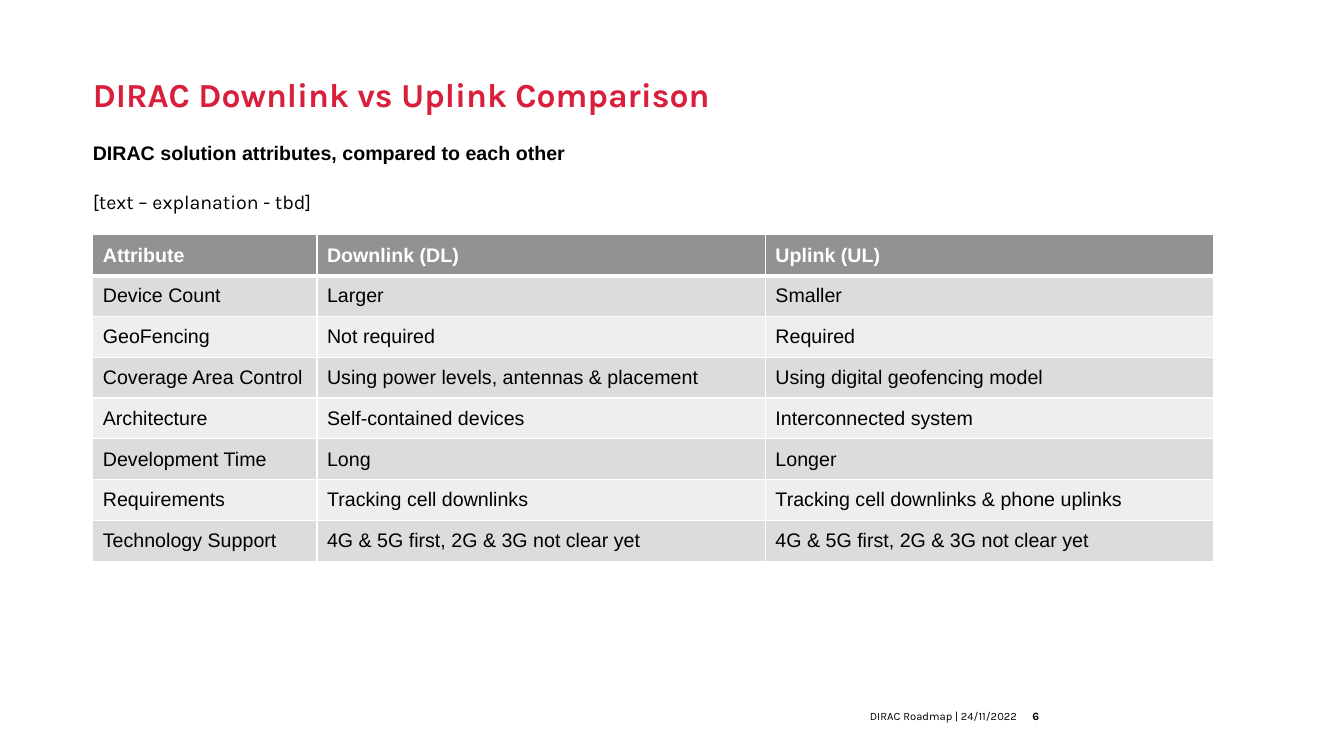
from lxml import etree
from pptx import Presentation, util as u
from pptx.dml.color import RGBColor
from pptx.enum import text
from pptx.oxml import ns

RED = RGBColor(0xDA, 0x1F, 0x3D)
BLACK = RGBColor(0x00, 0x00, 0x00)
WHITE = RGBColor(0xFF, 0xFF, 0xFF)
HEADER_GREY = RGBColor(0x92, 0x92, 0x92)
BANDS = [RGBColor(0xDC, 0xDC, 0xDC), RGBColor(0xEE, 0xEE, 0xEE)]

LEFT = 0.92
COLUMN_SHARES = [0.2, 0.4, 0.4]
ROWS = [
    ["Attribute", "Downlink (DL)", "Uplink (UL)"],
    ["Device Count", "Larger", "Smaller"],
    ["GeoFencing", "Not required", "Required"],
    ["Coverage Area Control", "Using power levels, antennas & placement",
     "Using digital geofencing model"],
    ["Architecture", "Self-contained devices", "Interconnected system"],
    ["Development Time", "Long", "Longer"],
    ["Requirements", "Tracking cell downlinks",
     "Tracking cell downlinks & phone uplinks"],
    ["Technology Support", "4G & 5G first, 2G & 3G not clear yet",
     "4G & 5G first, 2G & 3G not clear yet"],
]


def style_font(para, name, size, color=BLACK, bold=False):
    font = para.font
    font.name, font.size, font.bold = name, u.Pt(size), bold
    font.color.rgb = color


def fill_text(shape, box, wording, font, anchor, align=text.PP_ALIGN.LEFT,
              bottom=0, line_spacing=1):
    """Place a placeholder or text box and give it one unbulleted paragraph."""
    shape.left, shape.top, shape.width, shape.height = map(u.Inches, box)
    frame = shape.text_frame
    frame.word_wrap = True
    frame.auto_size = text.MSO_AUTO_SIZE.NONE
    frame.vertical_anchor = anchor
    frame.margin_left = frame.margin_right = frame.margin_top = 0
    frame.margin_bottom = u.Inches(bottom)
    frame.text = wording
    para = frame.paragraphs[0]
    para.alignment = align
    para.space_before = u.Pt(0)
    para.line_spacing = line_spacing
    properties = para._p.get_or_add_pPr()
    properties.set("marL", "0")
    properties.set("indent", "0")
    etree.SubElement(properties, ns.qn("a:buNone"))
    style_font(para, *font)


def add_heading(page, box):
    """Title, subtitle and introduction, stacked from the top of the box."""
    left, top, width, height = box
    title, subtitle, intro = page.placeholders
    middle = text.MSO_ANCHOR.MIDDLE
    fill_text(title, (left, top, 7.87, 0.83),
              "DIRAC Downlink vs Uplink Comparison",
              ("Karla", 24, RED, True), middle)
    fill_text(subtitle, (left, top + 0.87, width, 0.24),
              "DIRAC solution attributes, compared to each other",
              ("Arial", 14, BLACK, True), middle)
    fill_text(intro, (left, top + 1.34, width, height - 1.34),
              "[text – explanation - tbd]",
              ("Karla", 14), text.MSO_ANCHOR.TOP, line_spacing=1.1)


def add_border(cell, side, points):
    line = etree.SubElement(cell._tc.get_or_add_tcPr(), ns.qn(f"a:ln{side}"),
                            w=str(u.Pt(points)))
    solid = etree.SubElement(line, ns.qn("a:solidFill"))
    etree.SubElement(solid, ns.qn("a:srgbClr"), val=str(WHITE))


def add_comparison_table(page, box):
    left, top, width, height = map(u.Inches, box)
    table = page.shapes.add_table(len(ROWS), len(COLUMN_SHARES),
                                  left, top, width, height).table
    for column, share in zip(table.columns, COLUMN_SHARES):
        column.width = int(width * share)
    for r, wordings in enumerate(ROWS):
        header = r == 0
        table.rows[r].height = height // len(ROWS)
        for c, wording in enumerate(wordings):
            cell = table.cell(r, c)
            cell.text = wording
            cell.vertical_anchor = text.MSO_ANCHOR.MIDDLE
            style_font(cell.text_frame.paragraphs[0], "Arial", 14,
                       WHITE if header else BLACK, header)
            for side in "LRTB":
                under_header = (r, side) in [(0, "B"), (1, "T")]
                add_border(cell, side, 3 if under_header else 1)
            cell.fill.solid()
            cell.fill.fore_color.rgb = HEADER_GREY if header else BANDS[(r - 1) % 2]


def add_footer(page, box):
    """Footer text flush right, followed by the page number."""
    left, top, width, height = box
    number_width = 0.31
    parts = [
        ("DIRAC Roadmap | 24/11/2022", left, width - number_width - 0.15,
         text.PP_ALIGN.RIGHT, False),
        ("6", left + width - number_width, number_width,
         text.PP_ALIGN.LEFT, True),
    ]
    for wording, x, part_width, align, bold in parts:
        fill_text(page.shapes.add_textbox(0, 0, 0, 0),
                  (x, top, part_width, height), wording,
                  ("Karla", 8, BLACK, bold), text.MSO_ANCHOR.BOTTOM,
                  align, bottom=0.06)


def main():
    deck = Presentation()
    deck.slide_width, deck.slide_height = u.Inches(13.33), u.Inches(7.5)
    page = deck.slides.add_slide(deck.slide_layouts.get_by_name("Two Content"))
    add_heading(page, (LEFT, 0.52, 11.73, 5.91))
    add_comparison_table(page, (LEFT, 2.33, 11.12, 3.24))
    add_footer(page, (5.56, 6.96, 4.99, 0.27))
    deck.save("out.pptx")


if __name__ == "__main__":
    main()
